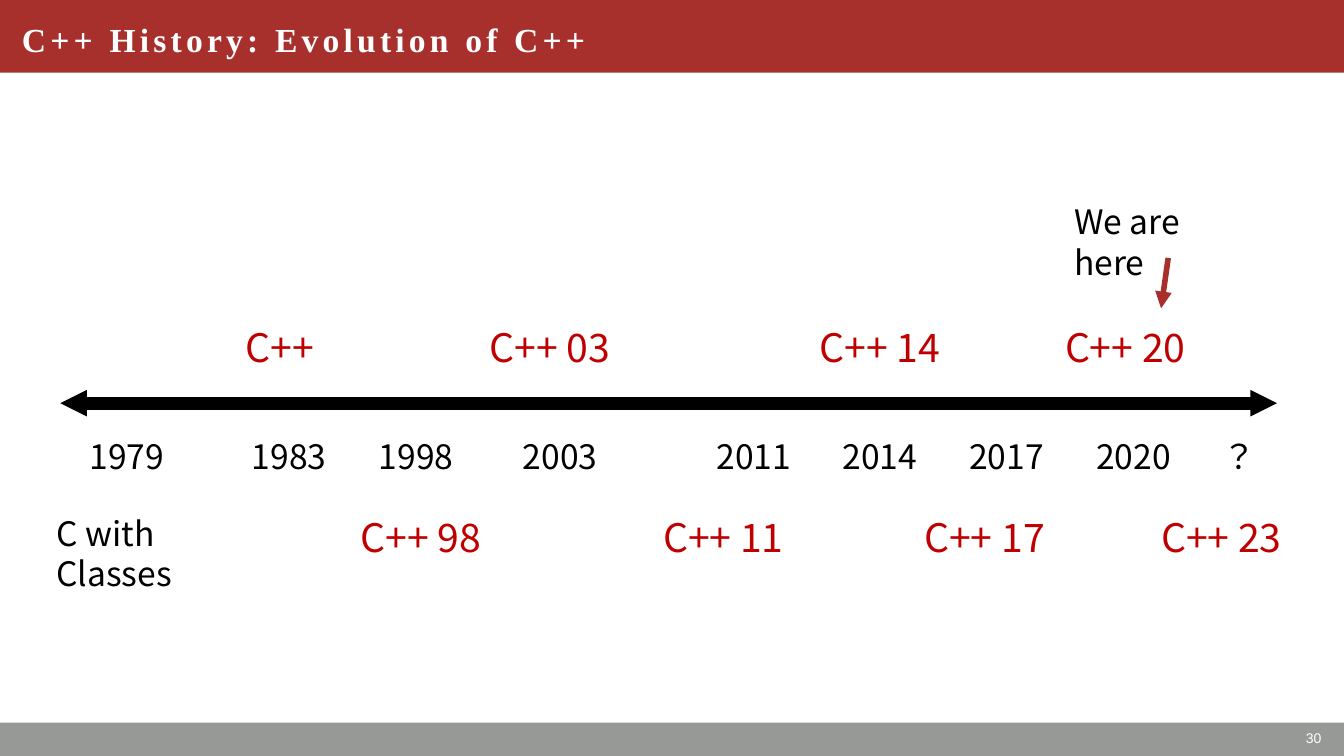
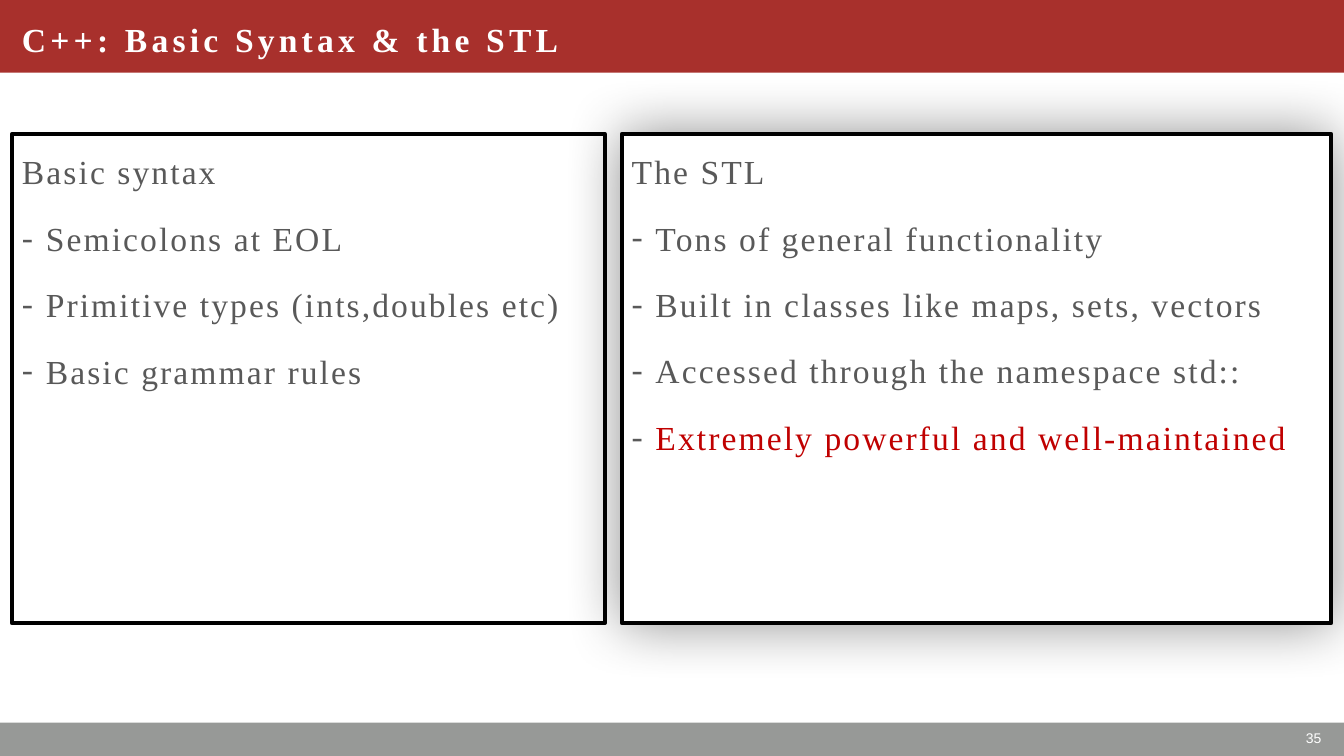
from dataclasses import dataclass

from lxml import etree
from pptx import Presentation
from pptx.dml.color import RGBColor
from pptx.enum import shapes, text
from pptx.oxml.ns import qn
from pptx.util import Cm, Pt


@dataclass(frozen=True)
class Theme:
    red: str = "A8302C"
    grey: str = "979997"
    accent: str = "C00000"
    body: str = "595959"
    black: str = "000000"
    white: str = "FFFFFF"
    serif: str = "Times New Roman"
    sans: str = "Noto Sans CJK JP"
    footer_font: str = "Arial"
    main_size: int = 24
    version_size: int = 28
    footer_size: int = 10


THEME = Theme()
PAGE_WIDTH, PAGE_HEIGHT = 33.87, 19.05

# Timeline: label, left edge and width in centimetres
YEARS = [("1979", 1.6, 3.2), ("1983", 5.69, 3.2), ("1998", 8.89, 3.2),
         ("2003", 12.52, 3.2), ("2011", 17.4, 3.2), ("2014", 20.57, 3.2),
         ("2017", 23.77, 3.2), ("2020", 26.97, 3.2), ("？", 30.15, 2.18)]
VERSIONS_ABOVE = [("C++", 5.94), ("C++ 03", 12.09),
                  ("C++ 14", 20.4), ("C++ 20", 26.59)]
VERSIONS_BELOW = [("C++ 98", 8.84), ("C++ 11", 16.46),
                  ("C++ 17", 23.04), ("C++ 23", 29.01)]
ABOVE_TOP, AXIS_Y, YEAR_TOP, BELOW_TOP = 8.03, 10.16, 10.85, 12.8

# Panels: a heading, then items made of (words, colour) spans
SYNTAX = ("Basic syntax", [
    [("Semicolons at EOL", THEME.body)],
    [("Primitive types (ints,doubles etc)", THEME.body)],
    [("Basic grammar rules", THEME.body)]])
LIBRARY = ("The STL", [
    [("Tons of general functionality", THEME.body)],
    [("Built in classes like maps, sets, vectors", THEME.body)],
    [("Accessed through the namespace std::", THEME.body)],
    [("Extremely powerful and well-maintained", THEME.accent)]])


def colour(value):
    return RGBColor.from_string(value)


def place(box, left, top, width, height):
    box.left, box.top = Cm(left), Cm(top)
    box.width, box.height = Cm(width), Cm(height)


def add_span(para, words, size, font, ink, bold=False, tracking=0):
    span = para.add_run()
    span.text = words
    span.font.size, span.font.name, span.font.bold = Pt(size), font, bold
    span.font.color.rgb = colour(ink)
    properties = span.font._element
    if tracking:
        properties.set("spc", str(int(tracking * 100)))
    east_asian = etree.Element(qn("a:ea"), typeface=font)
    properties.find(qn("a:latin")).addnext(east_asian)


def add_label(page, lines, left, top, width, height, size=THEME.main_size,
              ink=THEME.black, font=THEME.sans, align=text.PP_ALIGN.LEFT,
              anchor=text.MSO_ANCHOR.TOP):
    box = page.shapes.add_textbox(Cm(left), Cm(top), Cm(width), Cm(height))
    frame = box.text_frame
    frame.word_wrap, frame.vertical_anchor = True, anchor
    for index, words in enumerate(lines):
        para = frame.add_paragraph() if index else frame.paragraphs[0]
        para.alignment, para.line_spacing = align, Pt(size * 1.2)
        add_span(para, words, size, font, ink)


def add_arrow(page, start, end, ink, weight, ends):
    arrow = page.shapes.add_connector(
        shapes.MSO_CONNECTOR.STRAIGHT, *map(Cm, start + end))
    arrow.line.color.rgb, arrow.line.width = colour(ink), Pt(weight)
    outline = arrow.element.spPr.find(qn("a:ln"))
    for tag, size in ends:
        etree.SubElement(outline, qn(tag), type="triangle", w=size, len=size)
    etree.SubElement(arrow.element.spPr, qn("a:effectLst"))


# Shared frame: bands on the master, title and number on each page
def add_master_bands(deck, page):
    bands = [(0, 1.83, THEME.red), (18.21, 0.84, THEME.grey)]
    for top, height, ink in bands:
        band = page.shapes.add_shape(shapes.MSO_SHAPE.RECTANGLE, 0, Cm(top),
                                     Cm(PAGE_WIDTH), Cm(height))
        band.shadow.inherit = False
        band.fill.solid()
        band.fill.fore_color.rgb = colour(ink)
        band.line.fill.background()
        deck.slide_master.shapes.element.insert(2, band.element)


def add_page(deck, layout, title, number):
    page = deck.slides.add_slide(deck.slide_layouts.get_by_name(layout))
    box = page.shapes.title
    place(box, 0.3, 0, 18.03, 1.96)
    box.text_frame.vertical_anchor = text.MSO_ANCHOR.MIDDLE
    para = box.text_frame.paragraphs[0]
    para.alignment = text.PP_ALIGN.LEFT
    add_span(para, title, THEME.main_size, THEME.serif, THEME.white, True, 3)
    add_label(page, [number], 26.06, 18.16, 7.49, 0.89, THEME.footer_size,
              THEME.white, THEME.footer_font, text.PP_ALIGN.RIGHT,
              text.MSO_ANCHOR.MIDDLE)
    return page


# Panels
def set_dash(para, dashed):
    properties = para._p.get_or_add_pPr()
    indent = Cm(0.6) if dashed else 0
    properties.set("marL", str(indent))
    properties.set("indent", str(-indent))
    if not dashed:
        etree.SubElement(properties, qn("a:buNone"))
        return
    ink = etree.SubElement(properties, qn("a:buClr"))
    etree.SubElement(ink, qn("a:srgbClr"), val=THEME.body)
    etree.SubElement(properties, qn("a:buFont"), typeface=THEME.serif)
    etree.SubElement(properties, qn("a:buChar"), char="-")


def fill_panel(panel, content):
    heading, items = content
    panel.line.color.rgb, panel.line.width = colour(THEME.black), Pt(3)
    frame = panel.text_frame
    frame.word_wrap, frame.vertical_anchor = True, text.MSO_ANCHOR.TOP
    frame.auto_size = text.MSO_AUTO_SIZE.NONE
    for index, spans in enumerate([[(heading, THEME.body)]] + items):
        para = frame.add_paragraph() if index else frame.paragraphs[0]
        set_dash(para, index > 0)
        para.alignment, para.line_spacing = text.PP_ALIGN.LEFT, 1.3
        para.space_before, para.space_after = Pt(0), Pt(10)
        for words, ink in spans:
            add_span(para, words, THEME.main_size, THEME.serif, ink,
                     tracking=1.5)


def add_glow_shadow(panel, blur, opacity):
    panel.shadow.inherit = False
    effects = panel.element.spPr.find(qn("a:effectLst"))
    shadow = etree.SubElement(effects, qn("a:outerShdw"), blurRad=str(blur),
                              dist="0", algn="ctr", rotWithShape="0")
    ink = etree.SubElement(shadow, qn("a:srgbClr"), val=THEME.black)
    etree.SubElement(ink, qn("a:alpha"), val=str(opacity * 1000))


# Pages
def build_timeline(page):
    add_arrow(page, (1.52, AXIS_Y), (32.18, AXIS_Y), THEME.black, 9.5,
              [("a:headEnd", "sm"), ("a:tailEnd", "sm")])
    for year, left, width in YEARS:
        add_label(page, [year], left, YEAR_TOP, width, 1.27,
                  align=text.PP_ALIGN.CENTER)
    for top, versions in ((ABOVE_TOP, VERSIONS_ABOVE),
                          (BELOW_TOP, VERSIONS_BELOW)):
        for version, left in versions:
            add_label(page, [version], left, top, 3.94, 1.45,
                      THEME.version_size, THEME.accent)
    add_label(page, ["C with", "Classes"], 1.17, BELOW_TOP, 3.8, 2.31)
    add_label(page, ["We are here"], 26.82, 4.95, 4.9, 2.31)
    add_arrow(page, (29.44, 6.5), (29.26, 7.77), THEME.red, 4,
              [("a:tailEnd", "med")])


def build_panels(page):
    top, height = 3.38, 12.32
    syntax = page.placeholders[1]
    place(syntax, 0.3, top, 14.94, height)
    fill_panel(syntax, SYNTAX)
    library = page.shapes.add_shape(shapes.MSO_SHAPE.RECTANGLE, Cm(15.67),
                                    Cm(top), Cm(17.88), Cm(height))
    library.fill.solid()
    library.fill.fore_color.rgb = colour(THEME.white)
    fill_panel(library, LIBRARY)
    add_glow_shadow(library, Cm(1.5), 43)


def main():
    deck = Presentation()
    deck.slide_width, deck.slide_height = Cm(PAGE_WIDTH), Cm(PAGE_HEIGHT)
    history = add_page(deck, "Title Only",
                       "C++ History: Evolution of C++", "30")
    add_master_bands(deck, history)
    build_timeline(history)
    build_panels(add_page(deck, "Title and Content",
                          "C++: Basic Syntax & the STL", "35"))
    deck.save("out.pptx")


if __name__ == "__main__":
    main()
